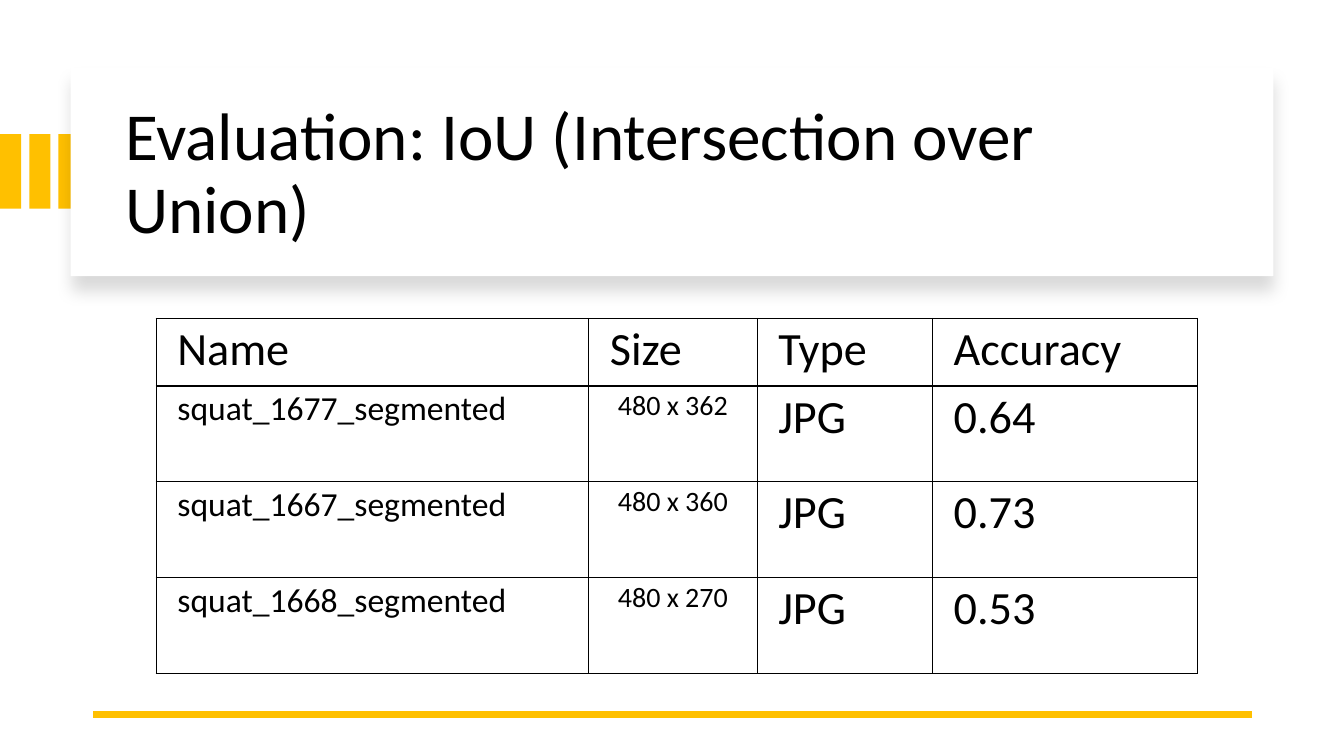
import dataclasses

import lxml.etree
import pptx
import pptx.dml.color
import pptx.enum.shapes
import pptx.enum.text
import pptx.oxml
import pptx.oxml.ns
import pptx.util

ALIGN = pptx.enum.text.PP_ALIGN
ANCHOR = pptx.enum.text.MSO_ANCHOR
EMU_PER_PX = 9144


@dataclasses.dataclass(frozen=True)
class Theme:
    font: str = "Calibri"
    ink: str = "000000"
    paper: str = "FFFFFF"
    accent: str = "FFC000"
    title: int = 48
    body: int = 33
    name: int = 24
    size: int = 20


THEME = Theme()
ROWS = [
    ("Name", "Size", "Type", "Accuracy"),
    ("squat_1677_segmented", "480 x 362", "JPG", "0.64"),
    ("squat_1667_segmented", "480 x 360", "JPG", "0.73"),
    ("squat_1668_segmented", "480 x 270", "JPG", "0.53"),
]
COLUMN_WIDTHS = (429, 167, 174, 263)
ROW_HEIGHTS = (67, 95, 95, 95)


def px(n):
    return pptx.util.Emu(n * EMU_PER_PX)


def rgb(value):
    return pptx.dml.color.RGBColor.from_string(value)


def set_all(obj, values):
    for name, value in values.items():
        setattr(obj, name, value)


def add_xml(parent, tag, **attributes):
    child = lxml.etree.SubElement(parent, pptx.oxml.ns.qn(tag))
    for name, value in attributes.items():
        child.set(name, str(value))
    return child


def write(tf, text, size, align=ALIGN.LEFT):
    p = tf.paragraphs[0]
    p.alignment = align
    r = p.add_run()
    r.text = text
    set_all(r.font, {"name": THEME.font, "size": pptx.util.Pt(size), "bold": False})
    r.font.color.rgb = rgb(THEME.ink)
    return p


def add_rect(shapes, x, y, w, h, color):
    sp = shapes.add_shape(
        pptx.enum.shapes.MSO_SHAPE.RECTANGLE, px(x), px(y), px(w), px(h)
    )
    sp.shadow.inherit = False
    sp.fill.solid()
    sp.fill.fore_color.rgb = rgb(color)
    sp.line.fill.background()
    return sp


def add_stripes(s):
    group = s.shapes.add_group_shape()
    for i in range(3):
        add_rect(group.shapes, i * 29, 133, 21, 74, THEME.accent)


def add_panel(s):
    sp = add_rect(s.shapes, 70, 67, 1193, 207, THEME.paper)
    effects = sp.element.spPr.find(pptx.oxml.ns.qn("a:effectLst"))
    shadow = add_xml(
        effects,
        "a:outerShdw",
        blurRad=pptx.util.Pt(11),
        dist=pptx.util.Pt(10),
        dir=90 * 60000,
        algn="t",
        rotWithShape=0,
    )
    color = add_xml(shadow, "a:srgbClr", val=THEME.ink)
    add_xml(color, "a:alpha", val=15000)


def set_title(s, text):
    title = s.shapes.title
    set_all(
        title, {"left": px(114), "top": px(89), "width": px(1113), "height": px(170)}
    )
    tf = title.text_frame
    set_all(
        tf,
        {
            "word_wrap": True,
            "auto_size": pptx.enum.text.MSO_AUTO_SIZE.NONE,
            "vertical_anchor": ANCHOR.MIDDLE,
        },
    )
    write(tf, text, THEME.title).line_spacing = 0.9
    s.shapes.element.append(title.element)


def add_rule(s):
    line = s.shapes.add_connector(
        pptx.enum.shapes.MSO_CONNECTOR.STRAIGHT, px(1242), px(709), px(92), px(709)
    )
    line.line.color.rgb = rgb(THEME.accent)
    line.line.width = pptx.util.Pt(4.5)
    add_xml(line.element.spPr, "a:effectLst")


def add_borders(cell):
    tc_pr = cell._tc.get_or_add_tcPr()
    for side in ("a:lnL", "a:lnR", "a:lnT", "a:lnB"):
        border = add_xml(tc_pr, side, w=pptx.util.Pt(1))
        add_xml(add_xml(border, "a:solidFill"), "a:srgbClr", val=THEME.ink)


def fill_cell(cell, text, size, align):
    set_all(
        cell,
        {
            "margin_left": px(21),
            "margin_right": px(21),
            "margin_top": px(3),
            "margin_bottom": px(0),
            "vertical_anchor": ANCHOR.TOP,
        },
    )
    add_borders(cell)
    cell.fill.background()
    write(cell.text_frame, text, size, align)


def add_results(s):
    frame = s.shapes.add_table(
        len(ROWS),
        len(COLUMN_WIDTHS),
        px(155),
        px(316),
        px(sum(COLUMN_WIDTHS)),
        px(sum(ROW_HEIGHTS)),
    )
    table = frame.table
    set_all(table, {"first_row": False, "horz_banding": False})
    for column, width in zip(table.columns, COLUMN_WIDTHS):
        column.width = px(width)
    for row, height in zip(table.rows, ROW_HEIGHTS):
        row.height = px(height)
    styles = (
        (THEME.name, ALIGN.LEFT),
        (THEME.size, ALIGN.CENTER),
        (THEME.body, ALIGN.LEFT),
        (THEME.body, ALIGN.LEFT),
    )
    for i, texts in enumerate(ROWS):
        for j, text in enumerate(texts):
            size, align = styles[j] if i else (THEME.body, ALIGN.LEFT)
            fill_cell(table.cell(i, j), text, size, align)


def main():
    prs = pptx.Presentation()
    set_all(prs, {"slide_width": px(1333), "slide_height": px(750)})
    s = prs.slides.add_slide(prs.slide_layouts[5])
    s.background.fill.solid()
    s.background.fill.fore_color.rgb = rgb(THEME.paper)
    add_stripes(s)
    add_panel(s)
    set_title(s, "Evaluation: IoU (Intersection over Union)")
    add_rule(s)
    add_results(s)
    prs.save("out.pptx")


if __name__ == "__main__":
    main()
